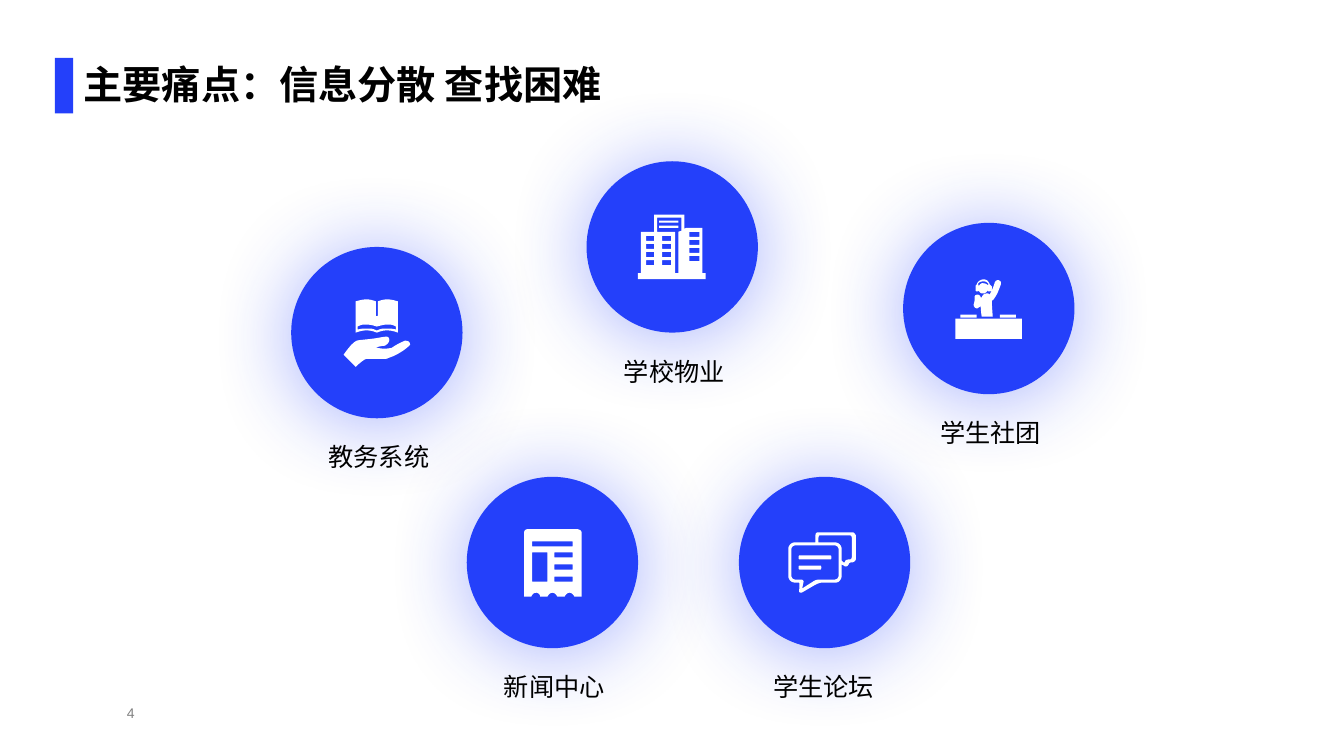
"""Builds a slide that names five scattered sources of campus information."""
from pptx import Presentation
from pptx.dml.color import RGBColor
from pptx.enum.shapes import MSO_SHAPE
from pptx.enum.text import MSO_ANCHOR, PP_ALIGN
from pptx.oxml import parse_xml
from pptx.oxml.ns import nsdecls
from pptx.util import Pt

COLORS = {"blue": "2440FA", "white": "FFFFFF", "black": "000000", "gray": "808080"}
FONT = "Arial"
CIRCLE = 122.4
LABEL_DROP = 135.4
CURVE_STEPS = 6
ICON_GRID = 10
ICON_SCALE = Pt(0.72) / ICON_GRID


def rectangle(left, top, right, bottom):
    return [(left, top), (right, top), (right, bottom), (left, bottom)]


def outline(path):
    """Turn "x y L x y C x y x y x y" into points, sampling each curve."""
    points, pending, command = [], [], "L"
    for token in path.split():
        if token in "LC":
            command = token
            continue
        pending.append(float(token))
        if len(pending) < (6 if command == "C" else 2):
            continue
        pairs = list(zip(pending[::2], pending[1::2]))
        pending = []
        if command == "L":
            points += pairs
            continue
        controls = [points[-1]] + pairs
        for step in range(1, CURVE_STEPS + 1):
            t = step / CURVE_STEPS
            weights = ((1 - t) ** 3, 3 * t * (1 - t) ** 2, 3 * t * t * (1 - t), t ** 3)
            points.append(tuple(
                sum(weight * control[axis] for weight, control in zip(weights, controls))
                for axis in (0, 1)))
    return points


def book_icon():
    hand = ("95 89 C 98 89 99 95 93 98 91 98 86 99 84 100 84 100 94 102 100 100 "
            "104 97 110 94 113 93 116 93 118 94 118 97 118 98 107 107 97 110 "
            "95 111 95 111 91 111 84 111 83 111 75 111 72 111 64 119 64 119 "
            "L 52 107 C 52 107 60 95 65 93 68 92 75 92 81 91 89 90 91 89 95 89")
    pages = ("75 77 C 72 77 69 77 66 79 L 66 82 C 69 81 72 81 75 81 "
             "78 81 82 81 85 83 88 81 92 81 95 81 98 81 101 81 104 82 "
             "L 104 79 C 101 77 98 77 95 77 92 77 89 78 85 79 82 78 78 77 75 77")
    cover = ("75 52 C 78 52 81 53 84 54 L 84 68 C 84 69 86 69 86 68 L 86 54 "
             "C 89 53 92 52 95 52 99 52 102 53 106 54 L 106 85 "
             "C 98 82 92 82 85 85 78 82 72 82 64 85 L 64 54 C 68 53 71 52 75 52")
    return [outline(path) for path in (hand, pages, cover)]


def building_icon():
    walls = ("67 53 97 53 97 67 99 66 115 66 115 111 118 111 118 117 "
             "51 117 51 111 54 111 54 70 67 70")
    tower = "70 56 70 70 88 70 88 111 91 111 91 70 94 69 94 56"
    windows = [rectangle(left, first + 8 * row, right, first + 8 * row + 5)
               for left, right, first in ((59, 67, 74), (75, 84, 74), (102, 112, 70))
               for row in range(4)]
    sign = [rectangle(72, top, 91, top + 2) for top in (59, 64)]
    return [outline(walls), outline(tower)] + windows + sign


def performer_icon():
    headband = ("80 58 C 77 58 75 59 74 61 75 61 75 62 75 62 L 75 63 "
                "C 76 61 78 59 80 60 82 60 84 61 84 63 L 84 62 "
                "C 84 62 84 61 85 61 84 59 82 58 80 58")
    body = ("93 57 C 95 56 98 58 97 61 95 67 93 72 89 77 L 88 77 C 88 82 89 91 89 93 "
            "L 78 93 C 78 92 77 87 77 82 77 83 76 83 75 84 73 86 70 84 70 81 "
            "71 79 71 76 71 73 72 70 77 71 77 74 L 78 74 C 79 71 81 70 83 70 "
            "84 70 85 70 86 71 88 67 90 63 91 59 92 58 92 57 93 57")
    head = ("80 56 C 83 56 85 58 86 61 86 61 87 62 87 62 87 62 88 63 88 63 L 88 66 "
            "C 88 67 87 68 86 68 85 68 84 68 84 67 83 69 81 70 79 70 "
            "77 70 76 69 75 67 75 68 74 68 74 68 73 68 72 68 72 67 "
            "L 72 62 C 73 62 73 61 73 61 74 58 77 56 80 56")
    desk = [rectangle(52, 95, 118, 115)]
    decks = [rectangle(left, 91, left + 16, 94) for left in (57, 96)]
    return [outline(path) for path in (headband, body, head)] + desk + decks


def forum_icon():
    bubbles = ("112 55 79 55 C 77 55 76 56 76 58 L 76 65 56 65 C 52 65 49 68 49 72 "
               "L 49 98 C 49 102 52 105 56 105 L 59 105 C 60 105 60 105 60 107 "
               "L 60 111 C 59 115 61 116 64 114 L 76 107 C 78 106 81 105 82 105 "
               "L 96 105 C 99 105 102 102 102 98 L 102 87 104 88 C 106 90 109 89 109 85 "
               "L 109 87 C 109 86 110 85 111 85 L 112 85 C 114 85 116 83 116 82 "
               "L 116 58 C 115 56 114 55 112 55")
    front = ("99 98 C 99 100 97 102 95 102 L 81 102 C 79 102 77 102 75 103 "
             "L 64 110 C 63 111 63 110 63 110 L 64 105 C 65 103 63 102 62 102 "
             "L 56 102 C 54 102 52 100 52 98 L 52 72 C 52 70 54 68 56 68 "
             "L 95 68 C 97 68 99 70 99 72")
    back = ("112 80 C 112 81 111 82 110 82 L 109 82 C 107 82 105 83 105 85 "
            "L 104 85 102 83 102 72 C 102 68 99 65 95 65 L 79 65 79 60 "
            "C 79 59 80 58 80 58 L 110 58 C 111 58 112 59 112 60")
    lines = [
        outline(f"60 {top} {right} {top} C {right + 1} {top} {right + 1} {top + 4} "
                f"{right} {top + 4} L 60 {top + 4} C 59 {top + 4} 59 {top} 60 {top}")
        for top, right in ((78, 91), (88, 81))]
    return [outline(path) for path in (bubbles, front, back)] + lines


def news_icon():
    sheet = ("107 119 C 106 117 104 115 102 115 100 115 98 117 97 119 L 90 119 "
             "C 89 117 87 115 85 115 83 115 81 117 80 119 L 73 119 "
             "C 73 117 71 115 69 115 66 115 65 117 64 119 L 57 119 57 55 "
             "C 57 54 58 52 60 52 L 110 52 C 112 52 114 54 114 55 L 114 119")
    blocks = [rectangle(65, 64, 105, 69), rectangle(65, 75, 80, 104)]
    rows = [rectangle(87, top, 105, top + 5) for top in (75, 87, 99)]
    return [outline(sheet)] + blocks + rows


def paint(shape, color):
    shape.shadow.inherit = False
    shape.fill.solid()
    shape.fill.fore_color.rgb = RGBColor.from_string(COLORS[color])
    shape.line.fill.background()


def style(para, size, color, bold=False):
    font = para.font
    font.name, font.size, font.bold = FONT, Pt(size), bold
    font.color.rgb = RGBColor.from_string(COLORS[color])


def add_block(page, kind, left, top, width, height):
    block = page.shapes.add_shape(kind, Pt(left), Pt(top), Pt(width), Pt(height))
    paint(block, "blue")
    return block


def add_glow(shape):
    properties = shape._element.spPr
    properties.remove(properties.find("{*}effectLst"))
    properties.append(parse_xml(
        f'<a:effectLst {nsdecls("a")}><a:outerShdw blurRad="{Pt(63)}" dist="{Pt(3)}" '
        f'dir="5400000" algn="t" rotWithShape="0"><a:srgbClr val="{COLORS["blue"]}">'
        '<a:alpha val="42000"/></a:srgbClr></a:outerShdw></a:effectLst>'))


def add_icon(page, contours, left, top):
    scaled = [[(x * ICON_GRID, y * ICON_GRID) for x, y in contour] for contour in contours]
    builder = page.shapes.build_freeform(*scaled[0][0], scale=ICON_SCALE)
    for number, contour in enumerate(scaled):
        if number:
            builder.move_to(*contour[0])
        builder.add_line_segments(contour[1:], close=True)
    paint(builder.convert_to_shape(Pt(left), Pt(top)), "white")


def add_text(page, text, left, top, width, height, size, color):
    box = page.shapes.add_textbox(Pt(left), Pt(top), Pt(width), Pt(height))
    frame = box.text_frame
    frame.word_wrap = False
    frame.vertical_anchor = MSO_ANCHOR.MIDDLE
    frame.text = text
    style(frame.paragraphs[0], size, color)


def add_source(page, label, contours, left, top, label_shift):
    circle = add_block(page, MSO_SHAPE.OVAL, left, top, CIRCLE, CIRCLE)
    add_glow(circle)
    add_icon(page, contours, left, top)
    add_text(page, label, left + label_shift, top + LABEL_DROP, 87.1, 29, 18, "black")


def add_title(page, text):
    title = page.shapes.title
    title.left, title.top, title.width, title.height = Pt(52.6), Pt(0), Pt(854.6), Pt(80.6)
    title.text_frame.vertical_anchor = MSO_ANCHOR.BOTTOM
    title.text_frame.text = text
    para = title.text_frame.paragraphs[0]
    para.alignment, para.line_spacing = PP_ALIGN.LEFT, 0.9
    style(para, 28, "black", bold=True)


def main():
    deck = Presentation()
    deck.slide_width, deck.slide_height = Pt(960), Pt(540)
    page = deck.slides.add_slide(deck.slide_layouts[5])
    add_block(page, MSO_SHAPE.RECTANGLE, 39.2, 41.4, 13, 39.6)
    add_title(page, "主要痛点：信息分散 查找困难")
    add_text(page, "4", 83.5, 501.1, 229, 16.6, 10, "gray")
    add_source(page, "教务系统", book_icon(), 208, 176.4, 19.5)
    add_source(page, "学校物业", building_icon(), 419, 115.2, 19.5)
    add_source(page, "学生社团", performer_icon(), 645.1, 159.2, 19.5)
    add_source(page, "学生论坛", forum_icon(), 527.8, 340.6, 17.3)
    add_source(page, "新闻中心", news_icon(), 333.4, 340.6, 19.5)
    deck.save("out.pptx")


if __name__ == "__main__":
    main()
